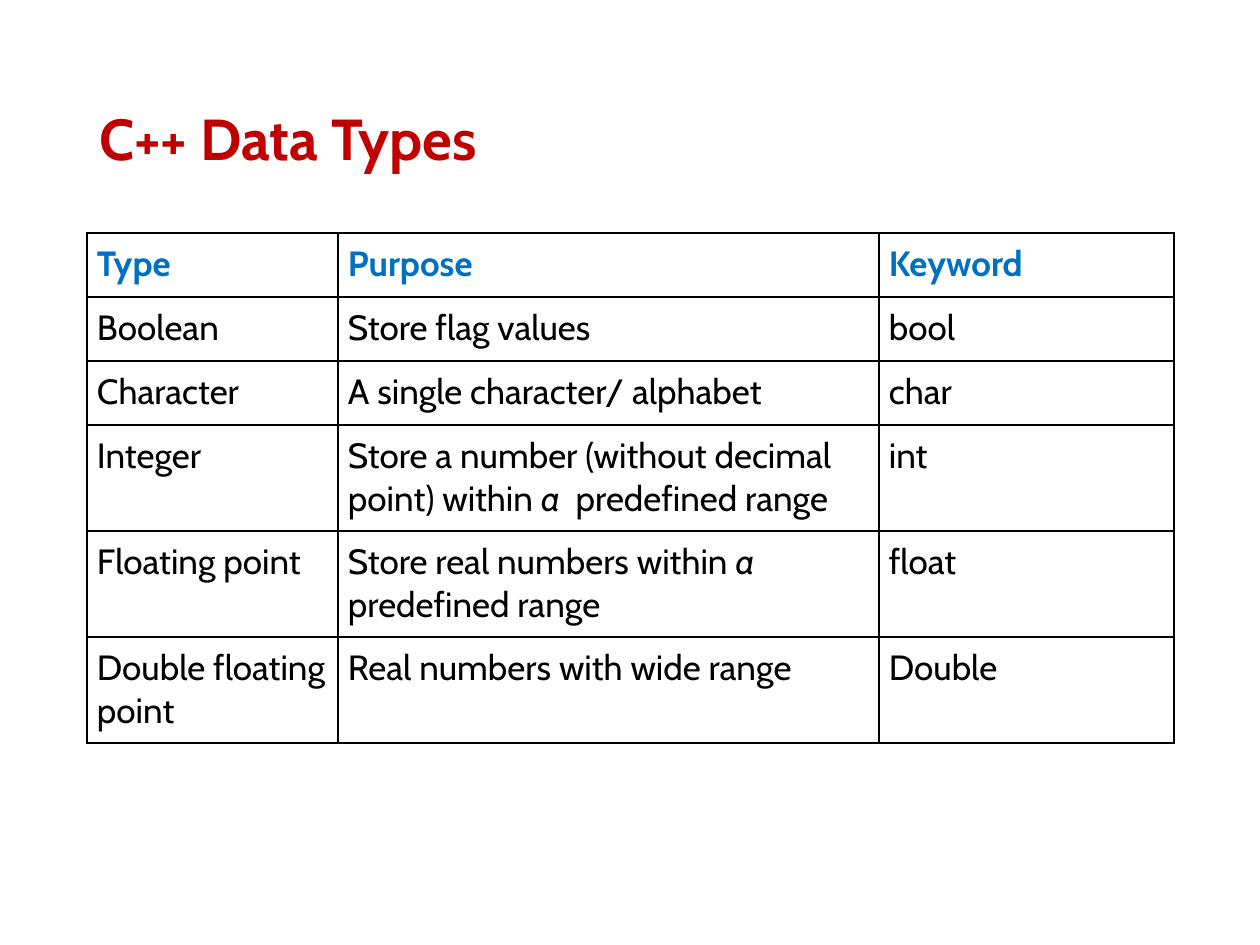
"""Build a slide with a table of C++ data types."""
import lxml.etree
import pptx
import pptx.dml.color
import pptx.enum.text
import pptx.oxml.ns
import pptx.util

PX = 914400 / 126
COLOURS = {"title": "C00000", "header": "0070C0", "body": "000000", "border": "000000"}


def px(length):
    return pptx.util.Emu(round(length * PX))


def add_run(paragraph, text, role, **formats):
    run = paragraph.add_run()
    run.text = text
    for name, value in {"name": "Cabin", **formats}.items():
        setattr(run.font, name, value)
    run.font.color.rgb = pptx.dml.color.RGBColor.from_string(COLOURS[role])


deck = pptx.Presentation()
deck.slide_width, deck.slide_height = px(1260), px(945)
slide = deck.slides.add_slide(deck.slide_layouts[6])

title = slide.shapes.add_textbox(px(87), px(50), px(1086), px(183)).text_frame
title.word_wrap = True
title.vertical_anchor = pptx.enum.text.MSO_ANCHOR.MIDDLE
title.paragraphs[0].line_spacing = 0.9
add_run(title.paragraphs[0], "C++ Data Types", "title", size=pptx.util.Pt(33), bold=True)

data_types = [
    (["Type"], ["Purpose"], ["Keyword"]),
    (["Boolean"], ["Store flag values"], ["bool"]),
    (["Character"], ["A single character/ alphabet"], ["char"]),
    (["Integer"],
     ["Store a number (without decimal point) within ", "a ", " predefined range"],
     ["int"]),
    (["Floating point"],
     ["Store real numbers within ", "a ", " predefined range"],
     ["float"]),
    (["Double floating point"], ["Real numbers with wide range"], ["Double"]),
]
column_widths = [251, 541, 295]
row_heights = [64] * 3 + [106] * 3
cell_format = dict.fromkeys(
    ["margin_left", "margin_right", "margin_top", "margin_bottom"], px(10))

types_table = slide.shapes.add_table(
    len(row_heights), len(column_widths),
    px(87), px(233), px(sum(column_widths)), px(sum(row_heights))).table
for column, width in zip(types_table.columns, column_widths):
    column.width = px(width)
for row, height in zip(types_table.rows, row_heights):
    row.height = px(height)

for row_index, entry in enumerate(data_types):
    is_header = row_index == 0
    for column_index, pieces in enumerate(entry):
        cell = types_table.cell(row_index, column_index)
        for name, value in cell_format.items():
            setattr(cell, name, value)
        cell.fill.background()
        for piece_index, piece in enumerate(pieces):
            add_run(cell.text_frame.paragraphs[0], piece,
                    "header" if is_header else "body",
                    size=pptx.util.Pt(20), bold=is_header, italic=piece_index == 1)
        properties = cell._tc.get_or_add_tcPr()
        for position, side in enumerate(["lnL", "lnR", "lnT", "lnB"]):
            border = lxml.etree.Element(
                pptx.oxml.ns.qn(f"a:{side}"), w=str(pptx.util.Pt(1)))
            fill = lxml.etree.SubElement(border, pptx.oxml.ns.qn("a:solidFill"))
            lxml.etree.SubElement(
                fill, pptx.oxml.ns.qn("a:srgbClr"), val=COLOURS["border"])
            properties.insert(position, border)

deck.save("out.pptx")
